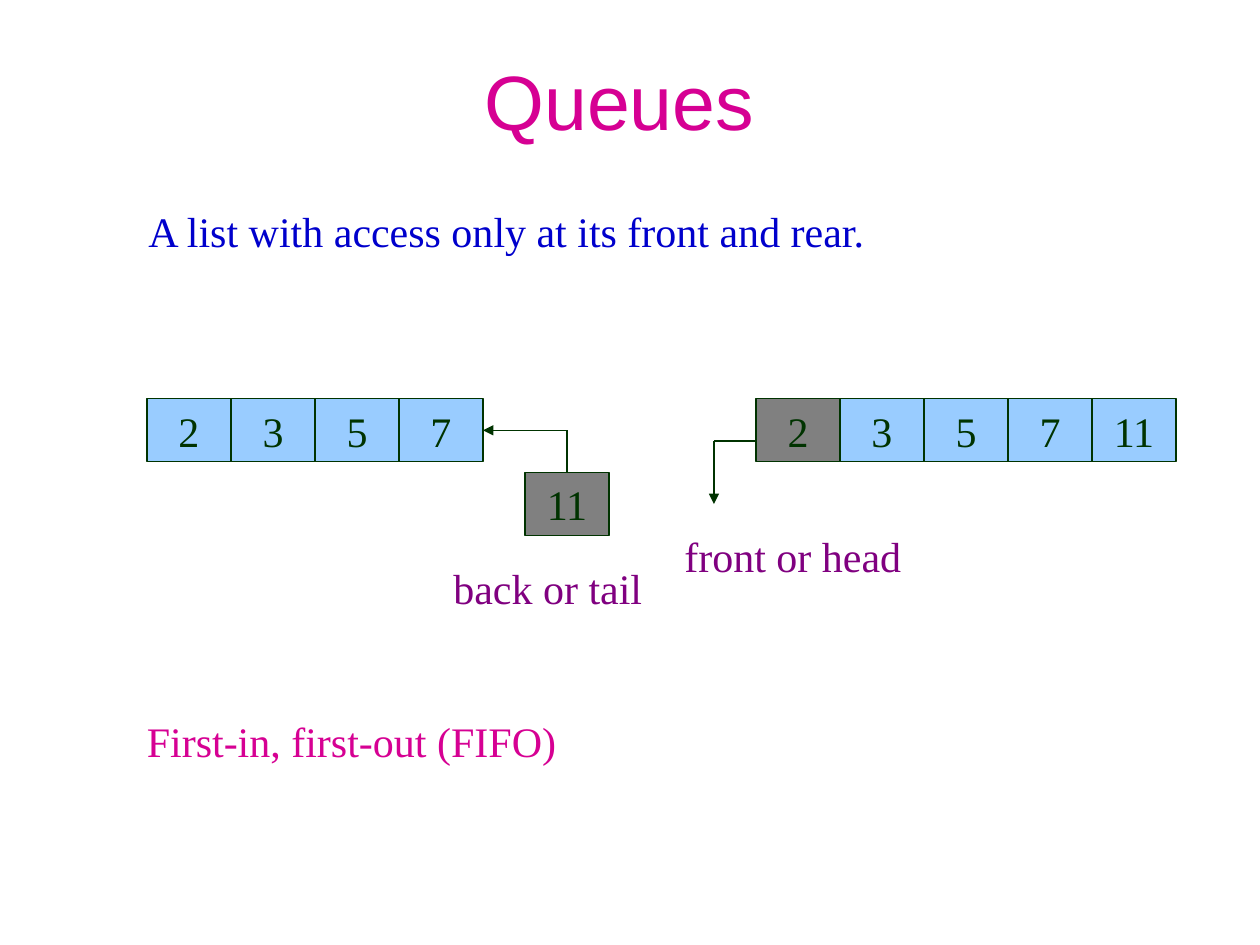
from lxml import etree
from pptx import Presentation
from pptx.dml.color import RGBColor
from pptx.enum.shapes import MSO_CONNECTOR, MSO_SHAPE
from pptx.enum.text import MSO_ANCHOR, PP_ALIGN
from pptx.oxml.ns import qn
from pptx.util import Inches, Pt

LEFT, CENTER = PP_ALIGN.LEFT, PP_ALIGN.CENTER
TOP, MIDDLE = MSO_ANCHOR.TOP, MSO_ANCHOR.MIDDLE
STRAIGHT, RECTANGLE = MSO_CONNECTOR.STRAIGHT, MSO_SHAPE.RECTANGLE
PINK = RGBColor(0xD6, 0x00, 0x93)
BLUE = RGBColor(0x00, 0x00, 0xCC)
PURPLE = RGBColor(0x80, 0x00, 0x80)
GREEN = RGBColor(0x00, 0x33, 0x00)
SKY = RGBColor(0x99, 0xCC, 0xFF)
GRAY = RGBColor(0x80, 0x80, 0x80)

deck = Presentation()
deck.slide_width, deck.slide_height = Inches(10), Inches(7.5)
page = deck.slides.add_slide(deck.slide_layouts[6])

# Grid of 15 columns and 15 rows; one queue cell fills one square
COLUMN = deck.slide_width / 15
ROW = deck.slide_height / 15
QUEUE_ROW = 6.33


def place(*cells):
    return [round(cell * (ROW if i % 2 else COLUMN)) for i, cell in enumerate(cells)]


def write(box, text, color, align=LEFT, anchor=TOP, size=24, font="Times New Roman"):
    frame = box.text_frame
    frame.word_wrap = False
    frame.vertical_anchor = anchor
    para = frame.paragraphs[0]
    para.alignment = align
    span = para.add_run()
    span.text = text
    span.font.color.rgb = color
    for name, value in {"size": Pt(size), "name": font}.items():
        setattr(span.font, name, value)


# Title
title = page.shapes.add_textbox(*place(1, 0.33, 12.75, 2.5))
write(title, "Queues", PINK, CENTER, MIDDLE, 44, "Arial")

# Definition, labels and principle: column, row, width in columns
for text, color, column, row, width in [
    ("A list with access only at its front and rear.", BLUE, 1.62, 3.17, 9.65),
    ("back or tail", PURPLE, 5.25, 8.83, 2.57),
    ("front or head", PURPLE, 8, 8.33, 2.91),
    ("First-in, first-out (FIFO)", PINK, 1.6, 11.26, 5.39),
]:
    write(page.shapes.add_textbox(*place(column, row, width, 1)), text, color)

# Queue before adding, the item being added, queue with its front leaving
for column, row, items, grays in [
    (1.75, QUEUE_ROW, [2, 3, 5, 7], []),
    (6.25, 7.5, [11], [11]),
    (9, QUEUE_ROW, [2, 3, 5, 7, 11], [2]),
]:
    for i, item in enumerate(items):
        cell = page.shapes.add_shape(RECTANGLE, *place(column + i, row, 1, 1))
        cell.shadow.inherit = False
        cell.fill.solid()
        cell.fill.fore_color.rgb = GRAY if item in grays else SKY
        cell.line.color.rgb = GREEN
        cell.line.width = Pt(0.75)
        write(cell, str(item), GREEN, CENTER, MIDDLE)

# Bent arrows into the back and out of the front
for start, bend, end in [
    ((6.75, 7.5), (6.75, 6.83), (5.75, 6.83)),
    ((9, 7), (8.5, 7), (8.5, 8)),
]:
    for first, last in [(start, bend), (bend, end)]:
        line = page.shapes.add_connector(STRAIGHT, *place(*first, *last))
        line.line.color.rgb = GREEN
        line.line.width = Pt(0.75)
        if last == end:
            outline = line.line._get_or_add_ln()
            etree.SubElement(outline, qn("a:tailEnd"), type="triangle")
        etree.SubElement(line._element.spPr, qn("a:effectLst"))

deck.save("out.pptx")
